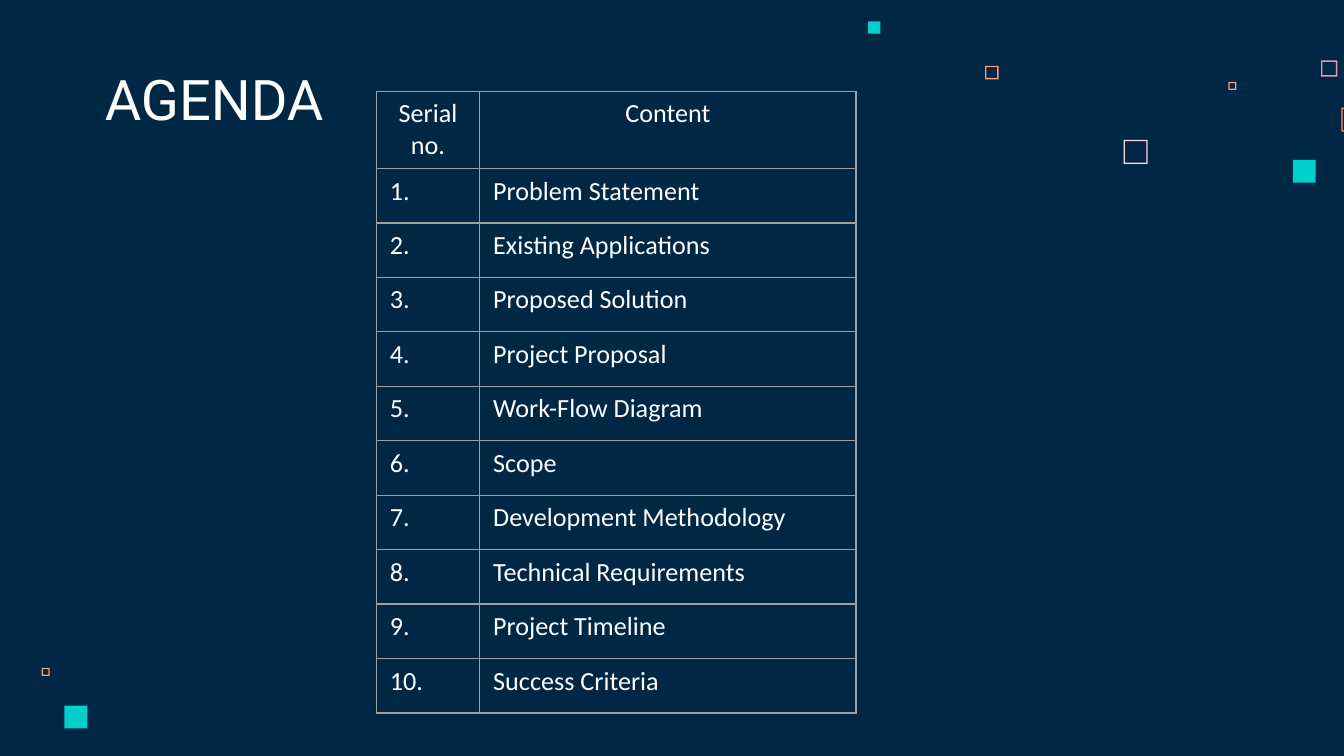
import pptx
import pptx.dml.color
import pptx.enum.shapes
import pptx.enum.text
import pptx.oxml
import pptx.oxml.ns
import pptx.util

Inches = pptx.util.Inches
Pt = pptx.util.Pt
RGBColor = pptx.dml.color.RGBColor
MSO_SHAPE = pptx.enum.shapes.MSO_SHAPE
PP_ALIGN = pptx.enum.text.PP_ALIGN

NAVY = RGBColor(0x00, 0x28, 0x45)
WHITE = RGBColor(0xFF, 0xFF, 0xFF)
GREY = RGBColor(0x9E, 0x9E, 0x9E)
TEAL = RGBColor(0x00, 0xCF, 0xCC)
ORANGE = RGBColor(0xFF, 0x99, 0x73)
ROSE = RGBColor(0xE8, 0x98, 0xAC)
PALE_PINK = RGBColor(0xFF, 0xD6, 0xE1)

TITLE = "AGENDA"
HEADINGS = ("Serial no.", "Content")
TOPICS = [
    "Problem Statement",
    "Existing Applications",
    "Proposed Solution",
    "Project Proposal",
    "Work-Flow Diagram",
    "Scope",
    "Development Methodology",
    "Technical Requirements",
    "Project Timeline",
    "Success Criteria",
]

# left, top, side, colour
HOLLOW_SQUARES = [
    (8.36, 1.04, 0.18, PALE_PINK),
    (9.83, 0.45, 0.12, ROSE),
    (9.14, 0.61, 0.06, ORANGE),
    (9.98, 0.8, 0.18, ORANGE),
    (7.33, 0.49, 0.1, ORANGE),
    (0.31, 4.97, 0.06, ORANGE),
]
SOLID_SQUARES = [
    (9.62, 1.19, 0.17, TEAL),
    (6.46, 0.16, 0.09, TEAL),
    (0.48, 5.25, 0.17, TEAL),
]
FRAME_THICKNESS = 0.01

COLUMN_WIDTHS = (0.77, 2.8)
TABLE_LEFT, TABLE_TOP, TABLE_HEIGHT = 2.8, 0.68, 4.46


def add_square(slide, kind, left, top, side, colour):
    square = slide.shapes.add_shape(
        kind, Inches(left), Inches(top), Inches(side), Inches(side))
    square.shadow.inherit = False
    square.fill.solid()
    square.fill.fore_color.rgb = colour
    square.line.fill.background()
    return square


def add_run(paragraph, text, font_name, size):
    run = paragraph.add_run()
    run.text = text
    run.font.name = font_name
    run.font.size = Pt(size)
    run.font.bold = False
    run.font.color.rgb = WHITE


def set_borders(cell):
    properties = cell._tc.get_or_add_tcPr()
    for position, side in enumerate(("lnL", "lnR", "lnT", "lnB")):
        properties.insert(position, pptx.oxml.parse_xml(
            f'<a:{side} {pptx.oxml.ns.nsdecls("a")} w="{Pt(0.75)}">'
            f'<a:solidFill><a:srgbClr val="{GREY}"/></a:solidFill></a:{side}>'))


def add_title(slide):
    title = slide.shapes.title
    title.left, title.top = Inches(0.68), Inches(0.45)
    title.width, title.height = Inches(5), Inches(0.63)
    frame = title.text_frame
    frame.auto_size = pptx.enum.text.MSO_AUTO_SIZE.NONE
    frame.vertical_anchor = pptx.enum.text.MSO_ANCHOR.BOTTOM
    frame.margin_left = frame.margin_right = Inches(0.1)
    frame.margin_top = frame.margin_bottom = Inches(0.1)
    frame.paragraphs[0].alignment = PP_ALIGN.LEFT
    add_run(frame.paragraphs[0], TITLE, "Roboto", 30)


def add_agenda_table(slide):
    rows = [HEADINGS] + [(f"{n}.", topic) for n, topic in enumerate(TOPICS, 1)]
    table = slide.shapes.add_table(
        len(rows), len(HEADINGS), Inches(TABLE_LEFT), Inches(TABLE_TOP),
        Inches(sum(COLUMN_WIDTHS)), Inches(TABLE_HEIGHT)).table
    table.first_row = table.horz_banding = False
    for column, width in zip(table.columns, COLUMN_WIDTHS):
        column.width = Inches(width)
    for row_index, texts in enumerate(rows):
        for column_index, text in enumerate(texts):
            cell = table.cell(row_index, column_index)
            cell.fill.background()
            set_borders(cell)
            paragraph = cell.text_frame.paragraphs[0]
            paragraph.alignment = PP_ALIGN.LEFT if row_index else PP_ALIGN.CENTER
            add_run(paragraph, text, "Calibri", 14)


def main():
    presentation = pptx.Presentation()
    presentation.slide_width = Inches(10)
    presentation.slide_height = Inches(10 * 9 / 16)
    slide = presentation.slides.add_slide(presentation.slide_layouts[5])
    slide.background.fill.solid()
    slide.background.fill.fore_color.rgb = NAVY

    for left, top, side, colour in HOLLOW_SQUARES:
        square = add_square(slide, MSO_SHAPE.FRAME, left, top, side, colour)
        square.adjustments[0] = FRAME_THICKNESS / side
    for left, top, side, colour in SOLID_SQUARES:
        add_square(slide, MSO_SHAPE.RECTANGLE, left, top, side, colour)
    add_title(slide)
    add_agenda_table(slide)
    presentation.save("out.pptx")


if __name__ == "__main__":
    main()
